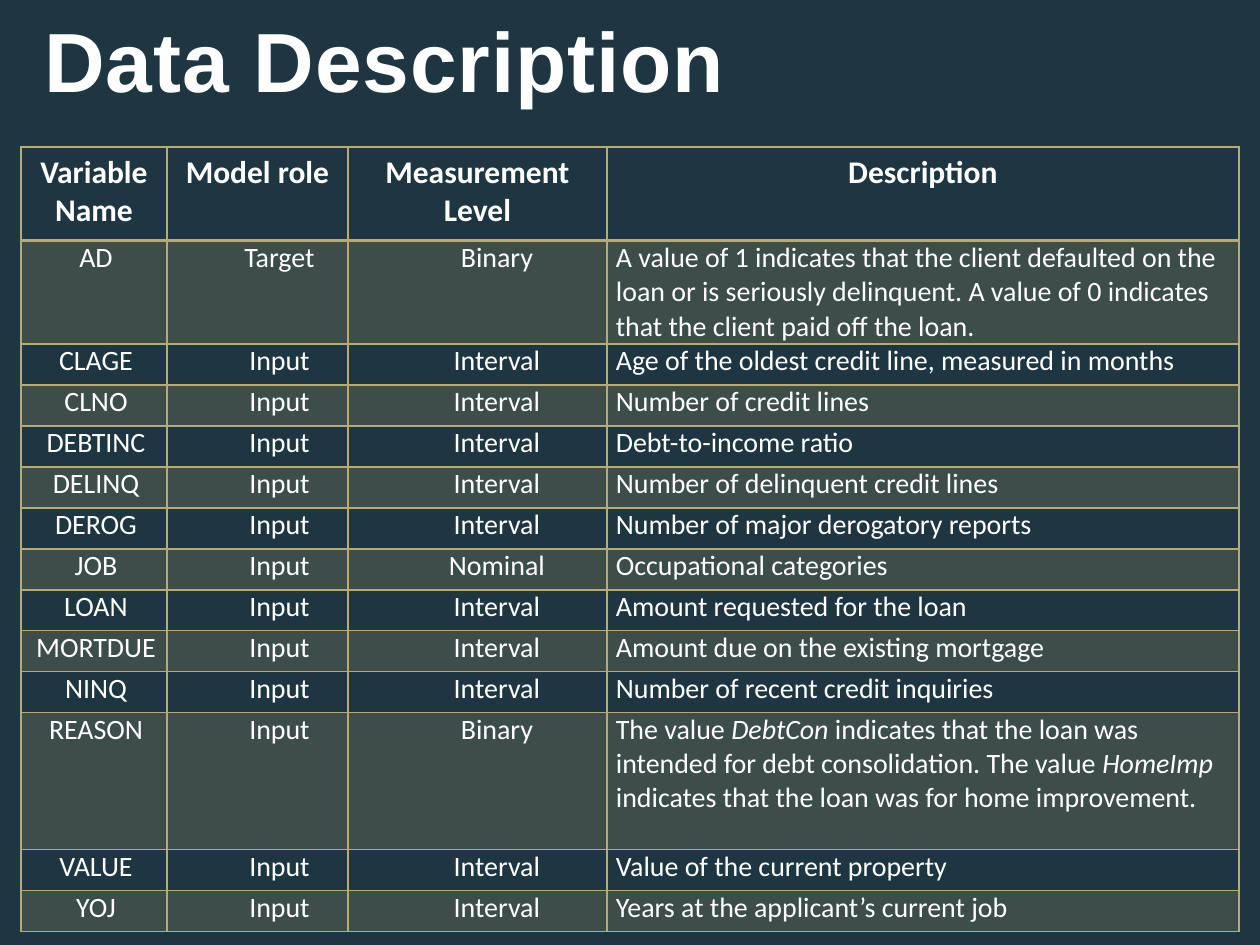
from pptx import Presentation
from pptx.dml.color import RGBColor
from pptx.enum.text import MSO_ANCHOR, MSO_AUTO_SIZE, PP_ALIGN
from pptx.oxml import parse_xml
from pptx.oxml.ns import nsdecls, qn
from pptx.util import Pt
from lxml.etree import SubElement

# Content
TITLE = "Data Description"
HEADER = ("Variable Name", "Model role", "Measurement Level", "Description")
# An underscore switches italics on and off
VARIABLES = [
    ("AD", "Target", "Binary", "A value of 1 indicates that the client defaulted on the loan or is "
     "seriously delinquent. A value of 0 indicates that the client paid off the loan."),
    ("CLAGE", "Input", "Interval", "Age of the oldest credit line, measured in months"),
    ("CLNO", "Input", "Interval", "Number of credit lines"),
    ("DEBTINC", "Input", "Interval", "Debt-to-income ratio"),
    ("DELINQ", "Input", "Interval", "Number of delinquent credit lines"),
    ("DEROG", "Input", "Interval", "Number of major derogatory reports"),
    ("JOB", "Input", "Nominal", "Occupational categories"),
    ("LOAN", "Input", "Interval", "Amount requested for the loan"),
    ("MORTDUE", "Input", "Interval", "Amount due on the existing mortgage"),
    ("NINQ", "Input", "Interval", "Number of recent credit inquiries"),
    ("REASON", "Input", "Binary", "The value _DebtCon_ indicates that the loan was intended for debt "
     "consolidation. The value _HomeImp_ indicates that the loan was for home improvement."),
    ("VALUE", "Input", "Interval", "Value of the current property"),
    ("YOJ", "Input", "Interval", "Years at the applicant’s current job"),
]
COLUMNS = (146, 181, 259, 632)
INDENTS = (4, 44, 39, 9)
HEADER_H, ROW_H = 94, 41
TALL_ROWS = {"AD": 103, "REASON": 137}
NAVY, GOLD, WHITE = "1D3641", "B9AB6F", "FFFFFF"


def px(n):
    return round(n * 914400 / 126)


def rgb(value):
    return RGBColor.from_string(value)


def style(r, font, size, color, bold=False):
    r.font.name, r.font.size, r.font.bold = font, Pt(size), bold
    r.font.color.rgb = rgb(color)


def line(tag, color, width):
    return parse_xml(f'<a:{tag} {nsdecls("a")} w="{Pt(width)}"><a:solidFill>'
                     f'<a:srgbClr val="{color}"/></a:solidFill></a:{tag}>')


def paint(cell, bottom, banded):
    tc_pr = cell._tc.get_or_add_tcPr()
    for tag, width in (("lnL", 1), ("lnR", 1), ("lnT", 1), ("lnB", bottom)):
        tc_pr.append(line(tag, GOLD, width))
    if not banded:
        cell.fill.background()
        return
    cell.fill.solid()
    cell.fill.fore_color.rgb = rgb(GOLD)
    SubElement(tc_pr.find(f'{qn("a:solidFill")}/{qn("a:srgbClr")}'), qn("a:alpha"), val="20000")


prs = Presentation()
prs.slide_width, prs.slide_height = px(1260), px(945)
s = prs.slides.add_slide(prs.slide_layouts[5])
s.background.fill.solid()
s.background.fill.fore_color.rgb = rgb(NAVY)

# Title
title = s.shapes.title
title.left, title.top, title.width, title.height = px(32), px(-42), px(1134), px(158)
tf = title.text_frame
tf.text = TITLE
tf.vertical_anchor, tf.auto_size = MSO_ANCHOR.BOTTOM, MSO_AUTO_SIZE.NONE
p = tf.paragraphs[0]
p.alignment = PP_ALIGN.LEFT
r = p.runs[0]
style(r, "Arial", 48, "FEFEFE", True)
r_pr = r.font._element
r_pr.set("spc", "50")
r_pr.insert(0, line("ln", "384F55", 1.05))

# Table grid
heights = [HEADER_H] + [TALL_ROWS.get(v[0], ROW_H) for v in VARIABLES]
table = s.shapes.add_table(len(heights), len(COLUMNS), px(21), px(147),
                           px(sum(COLUMNS)), px(sum(heights))).table
table.first_row = table.horz_banding = False
for column, width in zip(table.columns, COLUMNS):
    column.width = px(width)
for row, height in zip(table.rows, heights):
    row.height = px(height)

# Header row
for i, text in enumerate(HEADER):
    cell = table.cell(0, i)
    cell.text_frame.text = text
    p = cell.text_frame.paragraphs[0]
    p.alignment = PP_ALIGN.CENTER
    style(p.runs[0], "Calibri", 18, WHITE, True)
    paint(cell, 2, False)

# Variable rows
for j, variable in enumerate(VARIABLES, 1):
    for i, text in enumerate(variable):
        cell = table.cell(j, i)
        cell.margin_left = cell.margin_right = cell.margin_top = cell.margin_bottom = 0
        p = cell.text_frame.paragraphs[0]
        p.alignment = PP_ALIGN.LEFT if i == 3 else PP_ALIGN.CENTER
        p.space_before = Pt(6.2)
        p_pr = p._p.get_or_add_pPr()
        p_pr.set("marL", str(px(INDENTS[i])))
        p_pr.set("indent", "0")
        for k, part in enumerate(text.split("_")):
            r = p.add_run()
            r.text = part
            style(r, "Calibri", 16, WHITE)
            r.font.italic = k % 2 == 1
        paint(cell, 1, j % 2 == 1)

prs.save("out.pptx")
